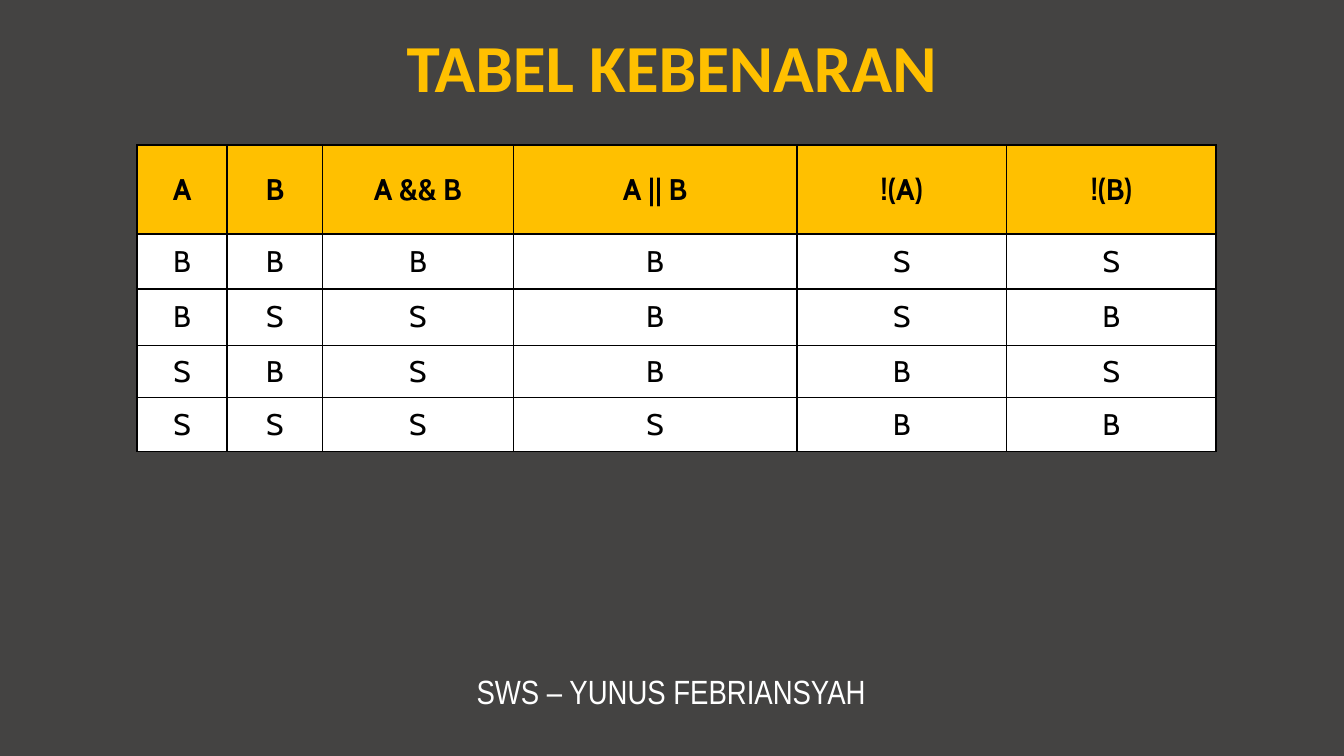
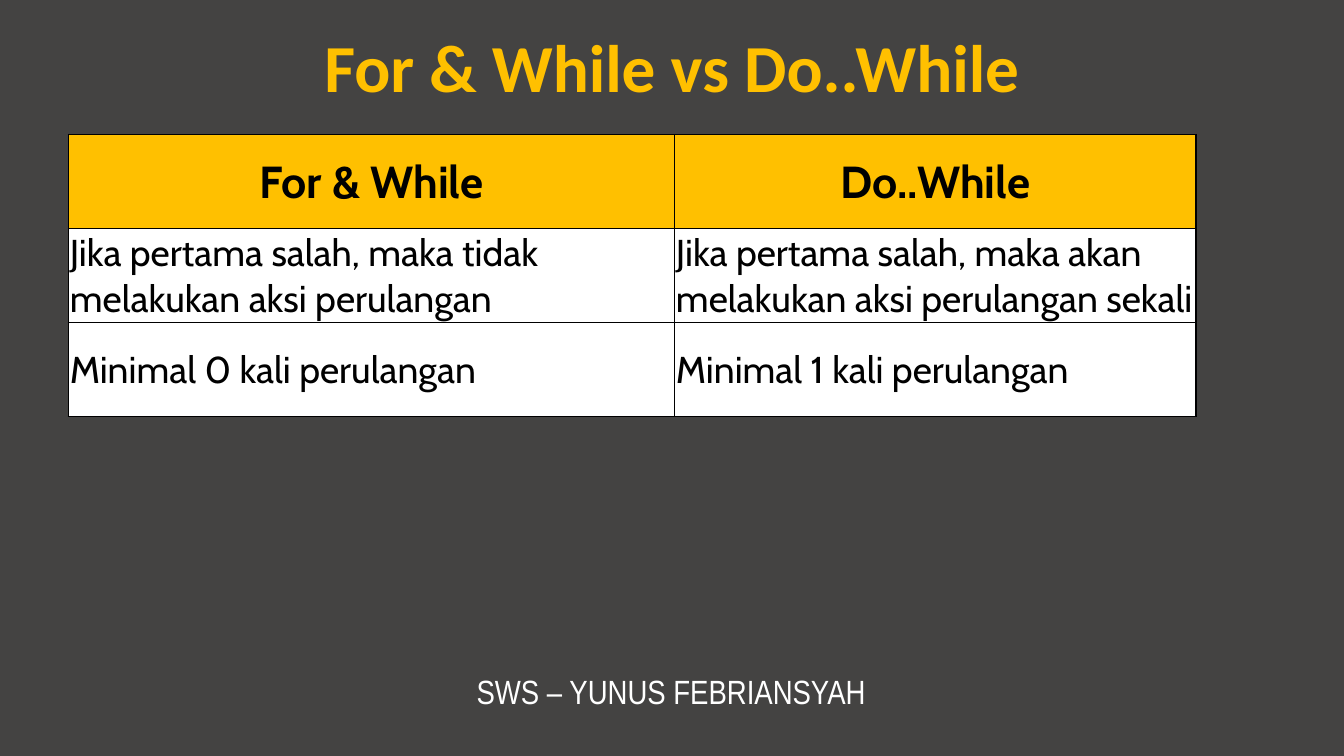
"""Build two slides of programming tables that share a title style and a footer."""
from dataclasses import dataclass

from lxml.etree import SubElement
from pptx import Presentation
from pptx.dml.color import RGBColor
from pptx.enum.text import MSO_ANCHOR as Anchor
from pptx.enum.text import MSO_AUTO_SIZE as AutoSize
from pptx.enum.text import PP_ALIGN as Align
from pptx.oxml.ns import qn
from pptx.slide import Slide
from pptx.table import _Cell as Cell
from pptx.text.text import TextFrame
from pptx.util import Inches, Pt

COLORS = {
    "background": "444342",
    "accent": "FFC000",
    "white": "FFFFFF",
    "black": "000000",
}
FOOTER = "SWS – YUNUS FEBRIANSYAH"
TITLE_ONLY = 5
SLIDE_WIDTH = Inches(10)
SLIDE_HEIGHT = SLIDE_WIDTH * 9 // 16


@dataclass(frozen=True)
class TableSlide:
    title: str
    left: float
    top: float
    widths: list[float]
    heights: list[float]
    rows: list[list[str]]
    header_size: int
    body_size: int
    body_align: Align
    margins: tuple[float, float, float, float] = (0.1, 0.05, 0.1, 0.05)


TABLE_SLIDES = [
    TableSlide(
        title="TABEL KEBENARAN",
        left=1.02,
        top=1.08,
        widths=[0.67, 0.71, 1.42, 2.11, 1.56, 1.56],
        heights=[0.66, 0.41, 0.42, 0.39, 0.4],
        rows=[
            ["A", "B", "A && B", "A || B", "!(A)", "!(B)"],
            list("BBBBSS"),
            list("BSSBSB"),
            list("SBSBBS"),
            list("SSSSBB"),
        ],
        header_size=16,
        body_size=16,
        body_align=Align.CENTER,
    ),
    TableSlide(
        title="For & While vs Do..While",
        left=0.51,
        top=1,
        widths=[4.51, 3.88],
        heights=[0.7] * 3,
        rows=[
            ["For & While", "Do..While"],
            [
                "Jika pertama salah, maka tidak melakukan aksi perulangan",
                "Jika pertama salah, maka akan melakukan aksi perulangan sekali",
            ],
            ["Minimal 0 kali perulangan", "Minimal 1 kali perulangan"],
        ],
        header_size=24,
        body_size=20,
        body_align=Align.LEFT,
        margins=(0.01, 0.01, 0.01, 0),
    ),
]


def write_text(frame: TextFrame, text: str, *, font: str, size: int, color: str,
               bold: bool = False, align: Align = Align.CENTER) -> None:
    """Put one formatted paragraph in a text frame."""
    frame.word_wrap = True
    paragraph = frame.paragraphs[0]
    paragraph.alignment = align
    run = paragraph.add_run()
    run.text = text
    run.font.name = font
    run.font.size = Pt(size)
    run.font.bold = bold
    run.font.color.rgb = RGBColor.from_string(COLORS[color])


def add_borders(cell: Cell, color: str = "black", width: float = 1) -> None:
    """Draw a solid line on all four sides of a cell."""
    properties = cell._tc.get_or_add_tcPr()
    for side in ("a:lnL", "a:lnR", "a:lnT", "a:lnB"):
        line = SubElement(properties, qn(side), w=str(Pt(width)))
        fill = SubElement(line, qn("a:solidFill"))
        SubElement(fill, qn("a:srgbClr"), val=COLORS[color])


def add_title(slide: Slide, text: str) -> None:
    """Move and fill the title placeholder."""
    title = slide.shapes.title
    title.left, title.top = Inches(0), Inches(0.17)
    title.width, title.height = SLIDE_WIDTH, Inches(0.63)
    title.text_frame.auto_size = AutoSize.NONE
    title.text_frame.vertical_anchor = Anchor.MIDDLE
    write_text(title.text_frame, text, font="Calibri", size=36, color="accent", bold=True)


def add_footer(slide: Slide) -> None:
    """Add the author line at the bottom."""
    footer = slide.shapes.add_textbox(Inches(2.87), Inches(4.94), Inches(4.25), Inches(0.4))
    footer.text_frame.auto_size = AutoSize.SHAPE_TO_FIT_TEXT
    write_text(footer.text_frame, FOOTER, font="Arial Narrow", size=18, color="white")


def add_table(slide: Slide, content: TableSlide) -> None:
    """Draw a bordered table with a highlighted header row."""
    table = slide.shapes.add_table(
        len(content.heights), len(content.widths),
        Inches(content.left), Inches(content.top),
        Inches(sum(content.widths)), Inches(sum(content.heights)),
    ).table
    table.horz_banding = False
    table.first_row = False
    for column, width in zip(table.columns, content.widths):
        column.width = Inches(width)
    for index, (row, height, texts) in enumerate(zip(table.rows, content.heights, content.rows)):
        row.height = Inches(height)
        header = index == 0
        for cell, text in zip(row.cells, texts):
            add_borders(cell)
            cell.fill.solid()
            fill_color = COLORS["accent" if header else "white"]
            cell.fill.fore_color.rgb = RGBColor.from_string(fill_color)
            cell.vertical_anchor = Anchor.MIDDLE
            (cell.margin_left, cell.margin_top,
             cell.margin_right, cell.margin_bottom) = map(Inches, content.margins)
            write_text(
                cell.text_frame, text, font="Cabin", color="black", bold=header,
                size=content.header_size if header else content.body_size,
                align=Align.CENTER if header else content.body_align,
            )


def main() -> None:
    """Build and save the presentation."""
    presentation = Presentation()
    presentation.slide_width = SLIDE_WIDTH
    presentation.slide_height = SLIDE_HEIGHT
    background = presentation.slide_master.background.fill
    background.solid()
    background.fore_color.rgb = RGBColor.from_string(COLORS["background"])
    for content in TABLE_SLIDES:
        slide = presentation.slides.add_slide(presentation.slide_layouts[TITLE_ONLY])
        add_footer(slide)
        add_title(slide, content.title)
        add_table(slide, content)
    presentation.save("out.pptx")


if __name__ == "__main__":
    main()
